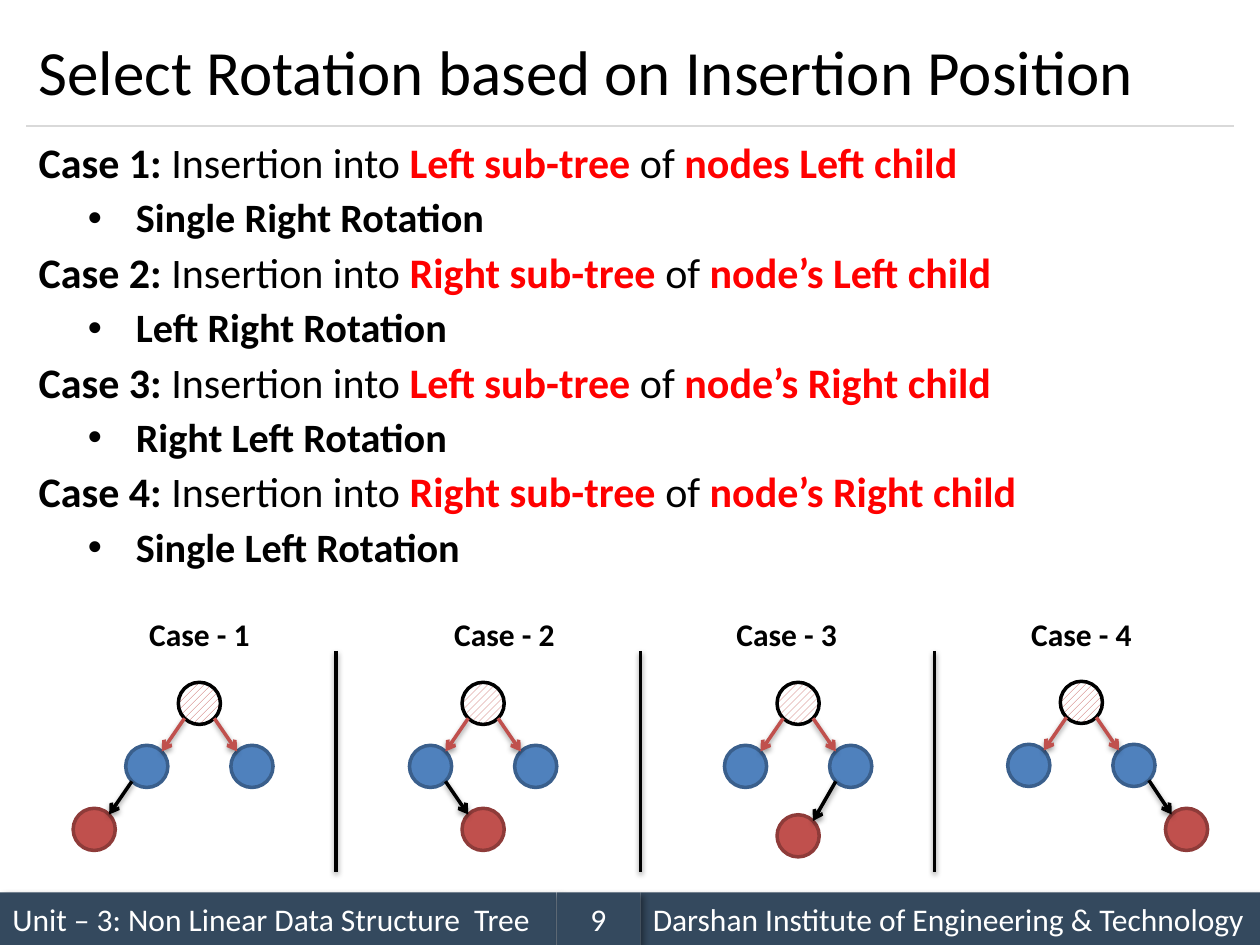
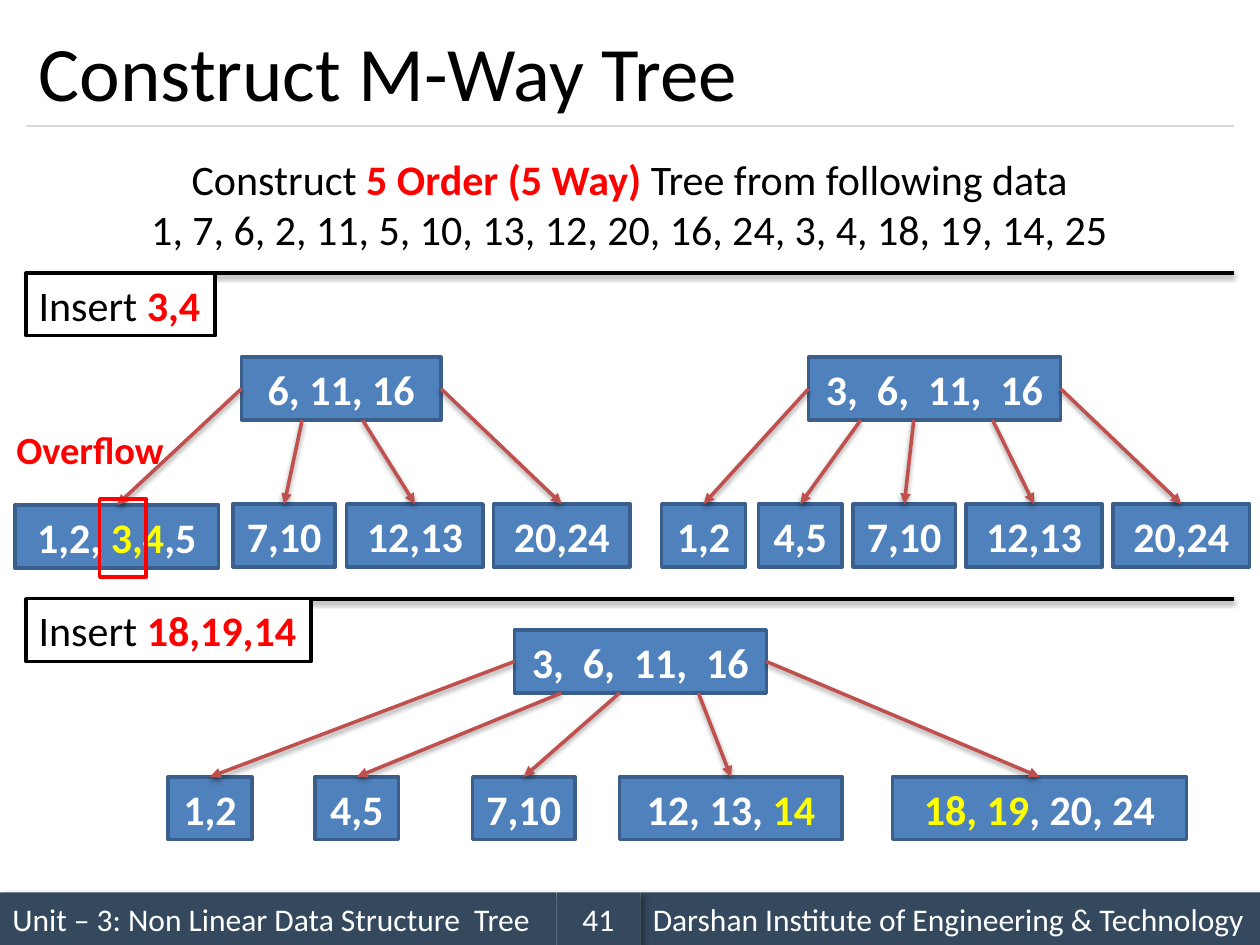
from dataclasses import dataclass
from math import sqrt
from typing import NamedTuple, Optional, Sequence

from lxml.etree import SubElement
from pptx import Presentation
from pptx.dml.color import RGBColor
from pptx.enum.dml import MSO_PATTERN as Pattern
from pptx.enum.shapes import MSO_CONNECTOR as Wire, MSO_SHAPE as Kind
from pptx.enum.text import MSO_ANCHOR as Anchor, PP_ALIGN as Align
from pptx.oxml.ns import qn
from pptx.util import Cm, Pt

FONT = "Calibri"
BLACK, WHITE, RED, YELLOW = "000000", "FFFFFF", "FF0000", "FFFF00"
SLATE, GREY = "34495E", "D9D9D9"
BLUE, NAVY = "4F81BD", "3A5F8C"
BRICK, RUST = "C0504D", "8E3B39"

LEFT, RIGHT, WIDE = 0.53, 24.87, 24.33
HIGH = 1.27             # height of a tree box
SIZE = 0.85             # diameter of a round node
STEP, DROP = 1.06, 1.27  # offset from a round node to its child


class Box(NamedTuple):
    x: float
    y: float
    w: float
    h: float


class Point(NamedTuple):
    x: float
    y: float


class Run(NamedTuple):
    text: str
    color: str = BLACK
    bold: bool = False


class Shade(NamedTuple):
    blur: float
    dist: float
    angle: int
    alpha: int


BAND_SHADE = Shade(4, 3, 45, 40)
LINE_SHADE = Shade(3.1, 1.6, 90, 38)


@dataclass
class Case:
    label: str
    mid: float      # centre of the label
    root: Point
    side: int       # child that gets the new node: -1 left, 1 right
    turn: int       # side of that child on which it lands
    fall: float = DROP


@dataclass
class Leaf:
    x: float
    w: float
    runs: Sequence[Run]
    drop: float = 0


@dataclass
class Tree:
    root: Box
    keys: str
    outs: Sequence[float]   # starts of the inner arrows along the root
    base: float             # top of the leaves
    leaves: Sequence[Leaf]


def rgb(code: str) -> RGBColor:
    return RGBColor.from_string(code)


def key(text: str, color: str = WHITE) -> Run:
    return Run(text, color, True)


def shade(item, look: Shade) -> None:
    props = item._element.spPr
    group = props.find(qn("a:effectLst"))
    if group is None:
        group = SubElement(props, qn("a:effectLst"))
    cast = SubElement(group, qn("a:outerShdw"), blurRad=str(Pt(look.blur)),
                      dist=str(Pt(look.dist)), dir=str(look.angle * 60000),
                      algn="ctr", rotWithShape="0")
    tint = SubElement(cast, qn("a:srgbClr"), val=BLACK)
    SubElement(tint, qn("a:alpha"), val=str(look.alpha * 1000))


def fill_par(par, runs: Sequence[Run], size: float, align=Align.LEFT) -> None:
    par.alignment = align
    for part in runs:
        run = par.add_run()
        run.text = part.text
        form = {"name": FONT, "size": Pt(size), "bold": part.bold}
        for name, value in form.items():
            setattr(run.font, name, value)
        run.font.color.rgb = rgb(part.color)


def write(item, pars: Sequence[Sequence[Run]], size: float, align=Align.LEFT,
          anchor=Anchor.TOP, wrap: bool = True) -> None:
    frame = item.text_frame
    for name, value in {"word_wrap": wrap, "vertical_anchor": anchor}.items():
        setattr(frame, name, value)
    for i, runs in enumerate(pars):
        par = frame.add_paragraph() if i else frame.paragraphs[0]
        fill_par(par, runs, size, align)


def add_text(slide, box: Box):
    return slide.shapes.add_textbox(*map(Cm, box))


def add_form(slide, kind, box: Box, fill: Optional[str], edge: Optional[str]):
    item = slide.shapes.add_shape(kind, *map(Cm, box))
    item.shadow.inherit = False
    if fill:
        item.fill.solid()
        item.fill.fore_color.rgb = rgb(fill)
    else:
        item.fill.background()
    if edge:
        item.line.color.rgb = rgb(edge)
        item.line.width = Pt(2)
    else:
        item.line.fill.background()
    return item


def add_line(slide, start: Point, end: Point, color: str = BLACK,
             width: float = 2, head: str = "", cast: bool = True) -> None:
    line = slide.shapes.add_connector(Wire.STRAIGHT, *map(Cm, (*start, *end)))
    line.line.color.rgb = rgb(color)
    line.line.width = Pt(width)
    props = line._element.spPr
    if head:
        SubElement(props.find(qn("a:ln")), qn("a:tailEnd"), type=head)
    if cast:
        shade(line, LINE_SHADE)
    else:
        SubElement(props, qn("a:effectLst"))


def add_band(slide, x: float, w: float, text: str, align=Align.LEFT) -> None:
    band = add_form(slide, Kind.RECTANGLE, Box(x, 17.99, w, 1.06), SLATE, None)
    shade(band, BAND_SHADE)
    write(band, [[Run(text, WHITE)]], 18, align, Anchor.MIDDLE)


def add_page(deck, title: str, size: float, page: int):
    """Add a slide with its footer bands, title rule and title."""
    slide = deck.slides.add_slide(deck.slide_layouts[6])
    add_band(slide, 0, 11.22, "Unit – 3: Non Linear Data Structure  Tree")
    add_line(slide, Point(LEFT, 2.54), Point(RIGHT, 2.54), GREY, 0.75, cast=False)
    add_band(slide, 12.91, 12.49, "Darshan Institute of Engineering & Technology")
    add_band(slide, 11.22, 1.69, str(page), Align.CENTER)
    write(add_text(slide, Box(LEFT, 0.3, WIDE, 2.24)), [[Run(title)]], size,
          anchor=Anchor.MIDDLE)
    return slide


def add_node(slide, mid: Point, fill: str, edge: str):
    box = Box(mid.x - SIZE / 2, mid.y - SIZE / 2, SIZE, SIZE)
    return add_form(slide, Kind.OVAL, box, fill, edge)


def add_link(slide, top: Point, low: Point, color: str) -> None:
    """Draw an arrow between the facing diagonal points of two nodes."""
    gap = SIZE / 2 / sqrt(2)
    side = gap if low.x > top.x else -gap
    add_line(slide, Point(top.x + side, top.y + gap),
             Point(low.x - side, low.y - gap), color, head="arrow")


def add_case(slide, case: Case) -> None:
    root = case.root
    node = add_node(slide, root, WHITE, BLACK)
    node.fill.patterned()
    node.fill.pattern = Pattern.WIDE_UPWARD_DIAGONAL
    node.fill.fore_color.rgb = rgb(BRICK)
    node.fill.back_color.rgb = rgb(WHITE)
    kids = {side: Point(root.x + side * STEP, root.y + DROP) for side in (-1, 1)}
    for kid in kids.values():
        add_node(slide, kid, BLUE, NAVY)
        add_link(slide, root, kid, BRICK)
    kid = kids[case.side]
    new = Point(kid.x + case.turn * STEP, kid.y + case.fall)
    add_node(slide, new, BRICK, RUST)
    add_link(slide, kid, new, BLACK)
    label = add_text(slide, Box(case.mid - 1.28, 12.27, 2.56, 1.02))
    write(label, [[key(case.label, BLACK)]], 18, Align.CENTER, wrap=False)


def add_rules(slide, rules: Sequence[tuple[str, str, str]]) -> None:
    """List each insertion case with its rotation as a bullet below."""
    frame = add_text(slide, Box(LEFT, 2.74, WIDE, 9.09)).text_frame
    frame.word_wrap = True
    for i, (tree, child, turn) in enumerate(rules):
        par = frame.add_paragraph() if i else frame.paragraphs[0]
        fill_par(par, [key(f"Case {i + 1}:", BLACK), Run(" Insertion into "),
                       key(f"{tree} sub-tree ", RED), Run("of "),
                       key(child, RED)], 24, Align.JUSTIFY)
        sub = frame.add_paragraph()
        props = sub._p.get_or_add_pPr()
        for name, value in {"marL": 1.96, "indent": -0.97}.items():
            props.set(name, str(Cm(value)))
        SubElement(props, qn("a:buFont"), typeface="Arial")
        SubElement(props, qn("a:buChar"), char="•")
        sub.level = 1
        fill_par(sub, [key(turn, BLACK)], 23, Align.JUSTIFY)
    for i, par in enumerate(frame.paragraphs):
        par.line_spacing = 0.9
        par.space_before = Pt(6 if i else 0)


def add_keys(slide, box: Box, runs: Sequence[Run]) -> None:
    item = add_form(slide, Kind.RECTANGLE, box, BLUE, NAVY)
    write(item, [runs], 24, Align.CENTER, Anchor.MIDDLE)


def add_tree(slide, tree: Tree) -> None:
    root = tree.root
    add_keys(slide, root, [key(tree.keys)])
    mid, low = root.y + root.h / 2, root.y + root.h
    starts = [Point(root.x, mid), *(Point(root.x + out, low) for out in tree.outs),
              Point(root.x + root.w, mid)]
    for start, leaf in zip(starts, tree.leaves):
        top = tree.base + leaf.drop
        add_keys(slide, Box(leaf.x, top, leaf.w, HIGH), leaf.runs)
        add_line(slide, start, Point(leaf.x + leaf.w / 2, top), BRICK,
                 head="triangle")


def add_stage(slide, y: float, w: float, keys: str) -> None:
    add_line(slide, Point(LEFT, y), Point(RIGHT, y))
    item = add_form(slide, Kind.RECTANGLE, Box(LEFT, y, w, HIGH), WHITE, BLACK)
    write(item, [[Run("Insert "), key(keys, RED)]], 24, wrap=False)


RULES = [("Left", "nodes Left child ", "Single Right Rotation"),
         ("Right", "node’s Left child", "Left Right Rotation"),
         ("Left", "node’s Right child", "Right Left Rotation"),
         ("Right", "node’s Right child", "Single Left Rotation")]
CASES = [Case("Case - 1", 4.02, Point(4.02, 14.18), -1, -1),
         Case("Case - 2", 10.17, Point(9.74, 14.18), -1, 1),
         Case("Case - 3", 15.86, Point(16.09, 14.18), 1, -1, 1.4),
         Case("Case - 4", 21.8, Point(21.8, 14.16), 1, 1, 1.29)]

FIRST = Tree(Box(4.87, 7.2, 4.02, HIGH), "6, 11, 16", (1.22, 2.44), 10.16, [
    Leaf(0.3, 4.11, [key("1,2, "), key("3,4", YELLOW), key(",5")], 0.02),
    Leaf(4.7, 2.06, [key("7,10")]),
    Leaf(6.99, 2.75, [key("12,13")]),
    Leaf(9.95, 2.75, [key("20,24")])])
SPLIT = Tree(Box(16.3, 7.2, 5.08, HIGH), "3,  6,  11,  16", (1.05, 2.12, 3.71), 10.16, [
    Leaf(13.34, 1.69, [key("1,2")]),
    Leaf(15.29, 1.69, [key("4,5")]),
    Leaf(17.2, 2.06, [key("7,10")]),
    Leaf(19.47, 2.75, [key("12,13")]),
    Leaf(22.44, 2.75, [key("20,24")])])
LAST = Tree(Box(10.37, 12.7, 5.08, HIGH), "3,  6,  11,  16", (0.95, 2.12, 3.71), 15.66, [
    Leaf(3.39, 1.69, [key("1,2")]),
    Leaf(6.35, 1.69, [key("4,5")]),
    Leaf(9.53, 2.06, [key("7,10")]),
    Leaf(12.49, 4.49, [key("12, 13, "), key("14", YELLOW)]),
    Leaf(17.99, 5.93, [key("18, 19", YELLOW), key(", 20, 24")])])


def draw_turns(deck) -> None:
    slide = add_page(deck, "Select Rotation based on Insertion Position", 36, 9)
    add_rules(slide, RULES)
    for case in CASES:
        add_case(slide, case)
    for x in (6.77, 12.91, 18.84):
        add_line(slide, Point(x, 13.12), Point(x, 17.57))


def draw_trees(deck) -> None:
    slide = add_page(deck, "Construct M-Way Tree", 44, 41)
    write(add_text(slide, Box(LEFT, 2.97, WIDE, 2.31)), [
        [Run("Construct "), key("5 Order (5 Way) ", RED),
         Run("Tree from following data")],
        [Run("1, 7, 6, 2, 11, 5, 10, 13, 12, 20, 16, 24, 3, 4, 18, 19, 14, 25")],
    ], 24, Align.CENTER)
    add_stage(slide, 5.5, 3.81, "3,4")
    add_tree(slide, FIRST)
    note = add_text(slide, Box(0.08, 8.47, 3.53, 1.19))
    write(note, [[key("Overflow", RED)]], 22, wrap=False)
    add_form(slide, Kind.RECTANGLE, Box(2.01, 10.06, 0.94, 1.57), None, RED)
    add_tree(slide, SPLIT)
    add_stage(slide, 12.07, 5.74, "18,19,14")
    add_tree(slide, LAST)


def main() -> None:
    deck = Presentation()
    deck.slide_width, deck.slide_height = Cm(25.4), Cm(19.05)
    draw_turns(deck)
    draw_trees(deck)
    deck.save("out.pptx")


if __name__ == "__main__":
    main()
